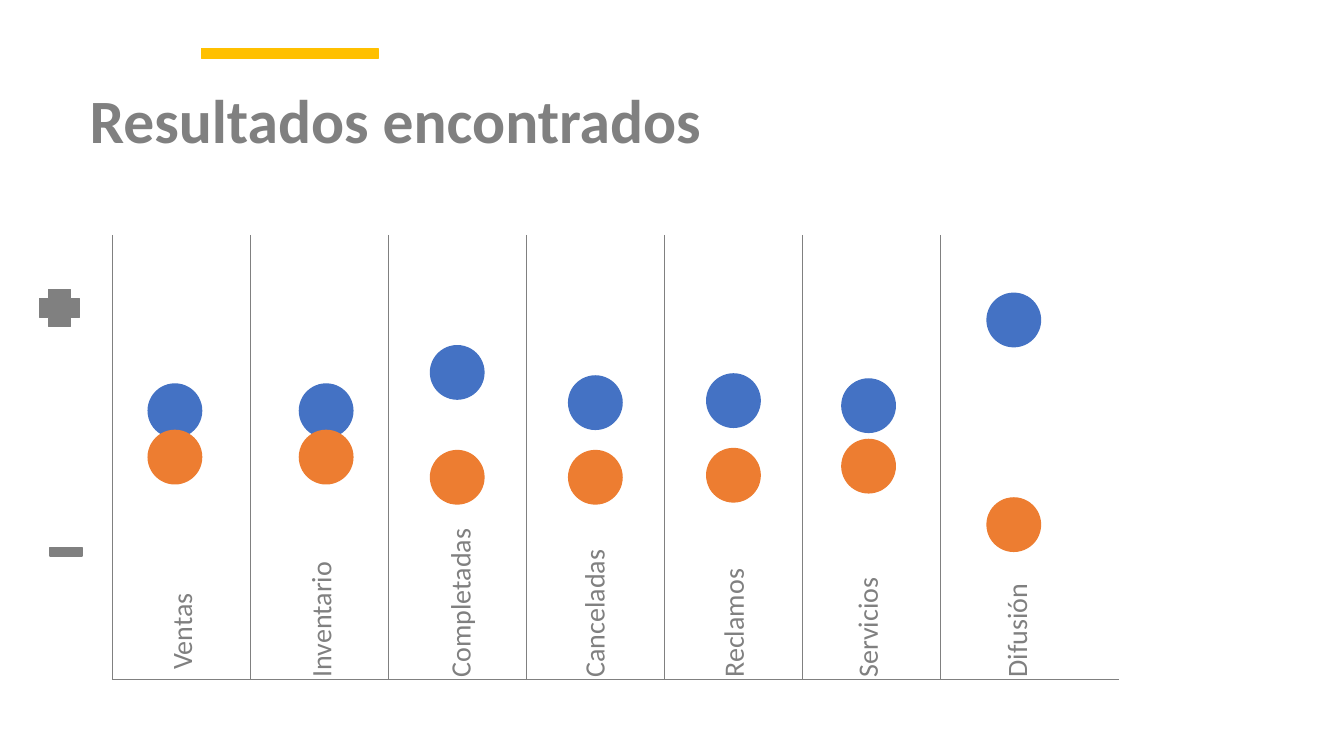
from pptx import Presentation
from pptx.dml.color import RGBColor
from pptx.enum.shapes import MSO_CONNECTOR, MSO_SHAPE
from pptx.enum.text import MSO_AUTO_SIZE
from pptx.oxml import parse_xml
from pptx.util import Inches, Pt

LINE = MSO_CONNECTOR.STRAIGHT
RECTANGLE = MSO_SHAPE.RECTANGLE
PLUS = MSO_SHAPE.CROSS
MINUS = MSO_SHAPE.MATH_MINUS
CIRCLE = MSO_SHAPE.OVAL
FIT_SHAPE = MSO_AUTO_SIZE.SHAPE_TO_FIT_TEXT

GRAY, YELLOW, BLUE, ORANGE = "808080", "FFC000", "4472C4", "ED7D31"
EMPTY_EFFECTS = (
    '<a:effectLst xmlns:a="http://schemas.openxmlformats.org/drawingml/2006/main"/>'
)

CHART_LEFT, CHART_RIGHT = 1.11, 11.1
CHART_TOP, CHART_BOTTOM = 2.33, 6.74
COLUMN_WIDTH = 1.37
DOT_SIZE = 0.53
LABEL_LENGTH, LABEL_HEIGHT = 1.73, 0.44

# Name, dot left and label centre within the column, blue top, orange top, label bottom
CATEGORIES = [
    ("Ventas", 0.36, 0.69, 3.81, 4.27, 6.74),
    ("Inventario", 0.49, 0.7, 3.81, 4.27, 6.82),
    ("Completadas", 0.42, 0.71, 3.43, 4.47, 6.82),
    ("Canceladas", 0.42, 0.67, 3.73, 4.47, 6.82),
    ("Reclamos", 0.42, 0.68, 3.71, 4.45, 6.82),
    ("Servicios", 0.39, 0.64, 3.76, 4.36, 6.82),
    ("Difusión", 0.46, 0.75, 2.91, 4.94, 6.82),
]


def color(hex_value):
    return RGBColor.from_string(hex_value)


def add_solid(slide, kind, left, top, width, height, fill):
    """Add a preset shape whose outline has the colour of its fill."""
    shape = slide.shapes.add_shape(
        kind, Inches(left), Inches(top), Inches(width), Inches(height)
    )
    shape.shadow.inherit = False
    shape.fill.solid()
    shape.fill.fore_color.rgb = color(fill)
    shape.line.color.rgb = color(fill)
    shape.line.width = Pt(1)


def add_line(slide, x1, y1, x2, y2):
    connector = slide.shapes.add_connector(
        LINE, Inches(x1), Inches(y1), Inches(x2), Inches(y2)
    )
    connector.line.color.rgb = color(GRAY)
    connector.line.width = Pt(0.5)
    connector._element.spPr.append(parse_xml(EMPTY_EFFECTS))


def add_text(slide, text, left, top, width, height, size=20, bold=False, rotation=0):
    box = slide.shapes.add_textbox(
        Inches(left), Inches(top), Inches(width), Inches(height)
    )
    box.rotation = rotation
    box.text_frame.word_wrap = True
    box.text_frame.auto_size = FIT_SHAPE
    run = box.text_frame.paragraphs[0].add_run()
    run.text = text
    run.font.name = "Calibri"
    run.font.size = Pt(size)
    run.font.bold = bold
    run.font.color.rgb = color(GRAY)


def add_upright_label(slide, text, center, bottom):
    """Add a label that reads upwards from its bottom end."""
    left = center - LABEL_LENGTH / 2
    top = bottom - (LABEL_LENGTH + LABEL_HEIGHT) / 2
    add_text(slide, text, left, top, LABEL_LENGTH, LABEL_HEIGHT, rotation=270)


def add_category(slide, index, category):
    name, dot_offset, label_offset, blue_top, orange_top, label_bottom = category
    left = CHART_LEFT + index * COLUMN_WIDTH
    add_line(slide, left, CHART_TOP, left, CHART_BOTTOM)
    for top, fill in ((blue_top, BLUE), (orange_top, ORANGE)):
        add_solid(slide, CIRCLE, left + dot_offset, top, DOT_SIZE, DOT_SIZE, fill)
    add_upright_label(slide, name, left + label_offset, label_bottom)


def main():
    presentation = Presentation()
    presentation.slide_width = Inches(13.33)
    presentation.slide_height = Inches(7.5)
    slide = presentation.slides.add_slide(presentation.slide_layouts[6])

    add_solid(slide, RECTANGLE, 2, 0.48, 1.75, 0.1, YELLOW)
    add_text(slide, "Resultados encontrados", 0.79, 0.76, 10.13, 0.84, size=44, bold=True)

    add_line(slide, CHART_LEFT, CHART_BOTTOM, CHART_RIGHT, CHART_BOTTOM)
    add_solid(slide, PLUS, 0.39, 2.87, 0.4, 0.37, GRAY)
    add_solid(slide, MINUS, 0.44, 5.3, 0.43, 0.35, GRAY)
    for index, category in enumerate(CATEGORIES):
        add_category(slide, index, category)

    presentation.save("out.pptx")


if __name__ == "__main__":
    main()
